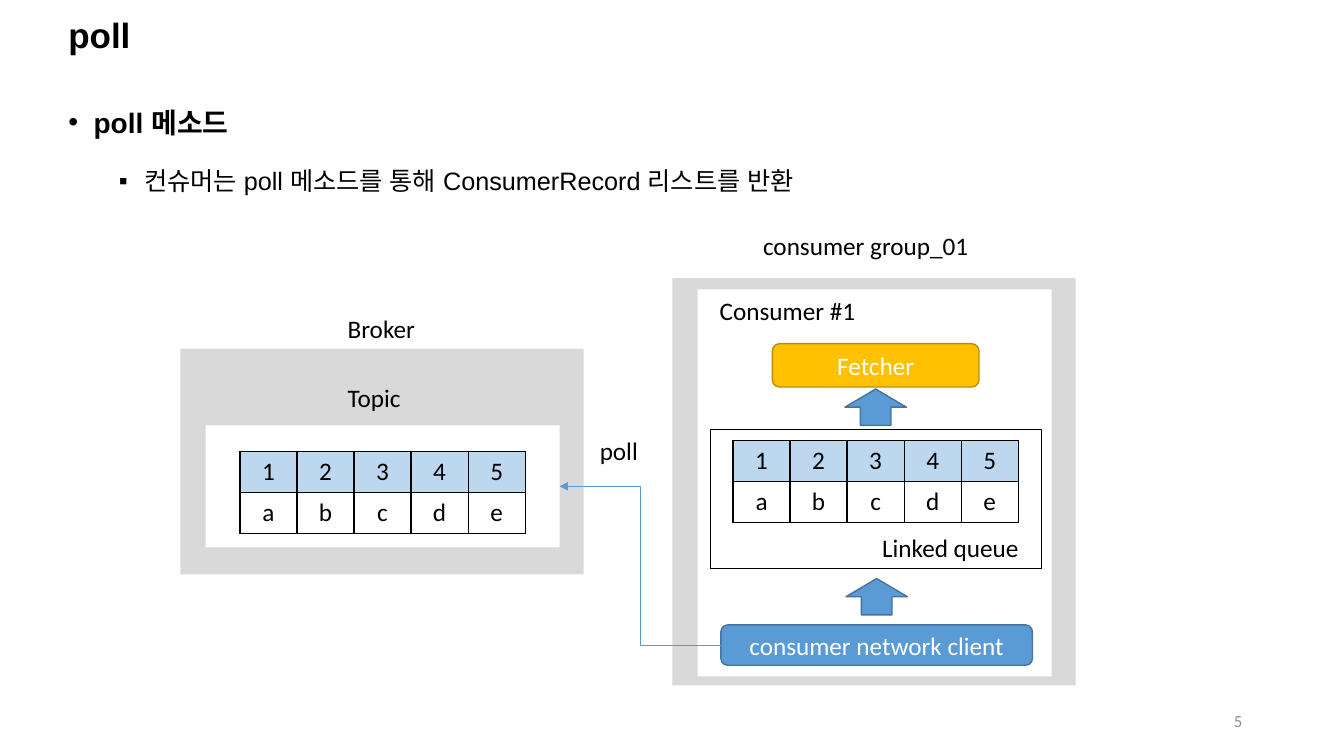
from dataclasses import dataclass

from lxml import etree
from pptx import Presentation
from pptx import util as u
from pptx.dml import color as c
from pptx.enum import shapes as s, text as t
from pptx.oxml import ns
from pptx.shapes import autoshape as a, shapetree as st
from pptx.text import text as tx

HUES = {
    "black": "000000", "white": "FFFFFF", "grey": "D9D9D9", "dim": "8C8C8C",
    "blue": "5B9BD5", "navy": "43739E", "pale": "BDD7EE",
    "gold": "FFC000", "brown": "BD8E00",
}
KIND = s.MSO_SHAPE
ALIGN = t.PP_ALIGN
MID = t.MSO_ANCHOR.MIDDLE


@dataclass
class Box:
    key: str
    kind: KIND
    left: float
    top: float
    width: float
    height: float
    fill: str
    line: str = ""
    weight: float = 1
    words: str = ""


@dataclass
class Label:
    words: str
    left: float
    top: float
    width: float


@dataclass
class Point:
    words: str
    mark: str
    size: int
    bold: bool
    level: int
    indent: float
    before: int


BOXES = [
    Box("broker", KIND.RECTANGLE, 1.79, 3.46, 4, 2.24, "grey"),
    Box("topic", KIND.RECTANGLE, 2.04, 4.22, 3.51, 1.21, "white"),
    Box("group", KIND.RECTANGLE, 6.67, 2.76, 4, 4.04, "grey"),
    Box("consumer", KIND.RECTANGLE, 6.92, 2.87, 3.51, 3.84, "white"),
    Box("client", KIND.ROUNDED_RECTANGLE, 7.15, 6.2, 3.09, 0.4, "blue", "navy",
        words="consumer network client"),
    Box("fill queue", KIND.UP_ARROW, 8.39, 5.74, 0.61, 0.36, "blue", "navy"),
    Box("queue", KIND.RECTANGLE, 7.05, 4.26, 3.28, 1.38, "white", "black", 0.5),
    Box("fetcher", KIND.ROUNDED_RECTANGLE, 7.66, 3.41, 2.05, 0.43, "gold", "brown",
        words="Fetcher"),
    Box("fetch", KIND.UP_ARROW, 8.38, 3.86, 0.61, 0.36, "blue", "navy"),
]
LABELS = [
    Label("Broker", 3.35, 3.06, 0.88),
    Label("Topic", 3.35, 3.74, 0.73),
    Label("consumer group_01", 7.47, 2.24, 2.26),
    Label("Consumer #1", 7.04, 2.88, 1.56),
    Label("Linked queue", 8.65, 5.23, 1.58),
    Label("poll", 5.85, 4.27, 0.58),
]
POINTS = [
    Point("poll 메소드", "•", 20, True, 0, 0.25, 10),
    Point("컨슈머는 poll 메소드를 통해 ConsumerRecord 리스트를 반환", "▪", 18, False, 1, 0.75, 5),
]
TABLES = [(2.38, 4.48), (7.27, 4.37)]
ROWS = ["12345", "abcde"]


def tint(hue: str) -> c.RGBColor:
    return c.RGBColor.from_string(HUES[hue])


def add_run(para: tx._Paragraph, words: str, size: int = 18, hue: str = "black",
            font: str = "Calibri", bold: bool = False) -> None:
    run = para.add_run()
    run.text = words
    run.font.size = u.Pt(size)
    run.font.name = font
    run.font.bold = bold
    run.font.color.rgb = tint(hue)
    etree.SubElement(run.font._element, ns.qn("a:ea"), typeface=font)


def add_text(tree: st.SlideShapes, left: float, top: float, width: float,
             height: float, wrap: bool = True) -> tx.TextFrame:
    frame = tree.add_textbox(*map(u.Inches, (left, top, width, height))).text_frame
    frame.word_wrap = wrap
    return frame


def add_box(tree: st.SlideShapes, box: Box) -> a.Shape:
    shape = tree.add_shape(
        box.kind, *map(u.Inches, (box.left, box.top, box.width, box.height)))
    shape.shadow.inherit = False
    shape.fill.solid()
    shape.fill.fore_color.rgb = tint(box.fill)
    if box.line:
        shape.line.color.rgb = tint(box.line)
        shape.line.width = u.Pt(box.weight)
    else:
        shape.line.fill.background()
    if box.words:
        shape.text_frame.vertical_anchor = MID
        para = shape.text_frame.paragraphs[0]
        para.alignment = ALIGN.CENTER
        add_run(para, box.words, hue="white")
    return shape


def add_label(tree: st.SlideShapes, label: Label) -> None:
    frame = add_text(tree, label.left, label.top, label.width, 0.4, False)
    frame.auto_size = t.MSO_AUTO_SIZE.SHAPE_TO_FIT_TEXT
    add_run(frame.paragraphs[0], label.words)


def add_point(para: tx._Paragraph, point: Point) -> None:
    para.level = point.level
    para.line_spacing = 1.5
    para.space_before = u.Pt(point.before)
    para.space_after = u.Pt(3)
    props = para._p.get_or_add_pPr()
    props.set("marL", str(u.Inches(point.indent)))
    props.set("indent", str(u.Inches(-0.25)))
    etree.SubElement(props, ns.qn("a:buFont"), typeface="Arial")
    etree.SubElement(props, ns.qn("a:buChar"), char=point.mark)
    add_run(para, point.words, point.size, font="Arial", bold=point.bold)


def add_grid(tree: st.SlideShapes, left: float, top: float) -> None:
    grid = tree.add_table(
        len(ROWS), len(ROWS[0]), *map(u.Inches, (left, top, 2.83, 0.81))).table
    grid.first_row = grid.horz_banding = False
    for row, (words, hue) in enumerate(zip(ROWS, ("pale", "white"))):
        for col, word in enumerate(words):
            cell = grid.cell(row, col)
            props = cell._tc.get_or_add_tcPr()
            for side in "LRTB":
                edge = etree.SubElement(props, ns.qn("a:ln" + side), w=str(u.Pt(1)))
                fill = etree.SubElement(edge, ns.qn("a:solidFill"))
                etree.SubElement(fill, ns.qn("a:srgbClr"), val=HUES["black"])
            cell.fill.solid()
            cell.fill.fore_color.rgb = tint(hue)
            para = cell.text_frame.paragraphs[0]
            para.alignment = ALIGN.CENTER
            add_run(para, word)


def add_link(tree: st.SlideShapes, start: a.Shape, end: a.Shape) -> None:
    link = tree.add_connector(
        s.MSO_CONNECTOR.ELBOW, *map(u.Inches, (7.15, 6.4, 5.55, 4.83)))
    link.begin_connect(start, 1)
    link.end_connect(end, 3)
    link.line.color.rgb = tint("blue")
    link.line.width = u.Pt(0.5)
    etree.SubElement(link.line._get_or_add_ln(), ns.qn("a:tailEnd"), type="triangle")
    etree.SubElement(link._element.spPr, ns.qn("a:effectLst"))


def main() -> None:
    deck = Presentation()
    deck.slide_width, deck.slide_height = u.Inches(13.33), u.Inches(7.5)
    tree = deck.slides.add_slide(deck.slide_layouts[6]).shapes

    title = add_text(tree, 0.58, 0.18, 11.5, 0.38)
    title.vertical_anchor = MID
    title.paragraphs[0].line_spacing = 0.9
    add_run(title.paragraphs[0], "poll", 25, font="Arial", bold=True)

    body = add_text(tree, 0.58, 0.83, 12.39, 1.3)
    body.add_paragraph()
    for para, point in zip(body.paragraphs, POINTS):
        add_point(para, point)

    page = add_text(tree, 9.42, 6.95, 3, 0.4)
    page.vertical_anchor = MID
    page.paragraphs[0].alignment = ALIGN.RIGHT
    add_run(page.paragraphs[0], "5", 12, "dim")

    drawn = {box.key: add_box(tree, box) for box in BOXES}
    for label in LABELS:
        add_label(tree, label)
    for left, top in TABLES:
        add_grid(tree, left, top)
    add_link(tree, drawn["client"], drawn["topic"])

    deck.save("out.pptx")


if __name__ == "__main__":
    main()
